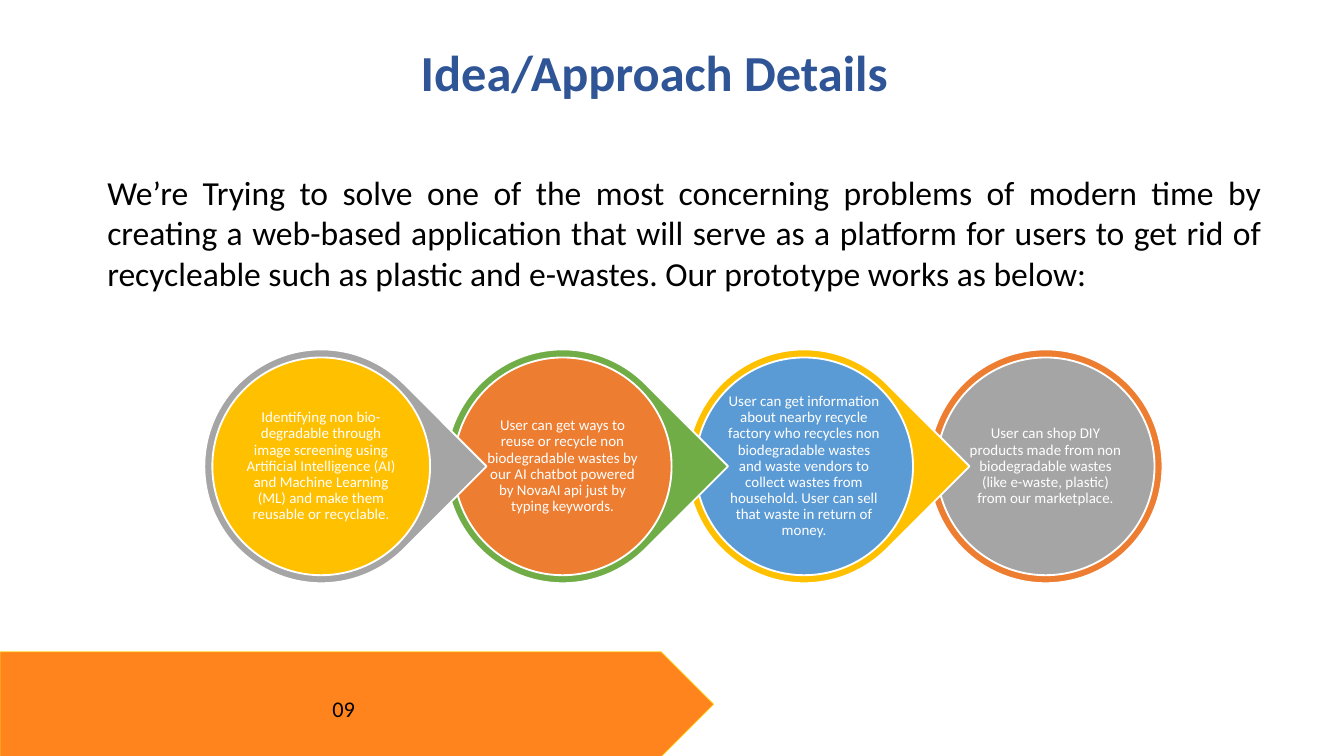
from pptx import Presentation
from pptx.dml.color import RGBColor
from pptx.enum import shapes, text
from pptx.util import Inches, Pt

WHITE = RGBColor(0xFF, 0xFF, 0xFF)
BLACK = RGBColor(0x00, 0x00, 0x00)
NAVY = RGBColor(0x2F, 0x55, 0x97)
GRAY = RGBColor(0xA5, 0xA5, 0xA5)
GOLD = RGBColor(0xFF, 0xC0, 0x00)
GREEN = RGBColor(0x70, 0xAD, 0x47)
ORANGE = RGBColor(0xED, 0x7D, 0x31)
BLUE = RGBColor(0x5B, 0x9B, 0xD5)
BANNER = RGBColor(0xFF, 0x84, 0x1D)
BANNER_EDGE = RGBColor(0xFF, 0xD4, 0x1D)

TITLE = "Idea/Approach Details"
INTRO = (
    "We’re Trying to solve one of the most concerning problems of modern time by "
    "creating a web-based application that will serve as a platform for users to get "
    "rid of recycleable such as plastic and e-wastes. Our prototype works as below:"
)
STEPS = [
    ("Identifying non bio-degradable through image screening using Artificial "
     "Intelligence (AI) and Machine Learning (ML) and make them reusable or recyclable.",
     GRAY, GOLD),
    ("User can get ways to reuse or recycle non biodegradable wastes by our AI chatbot "
     "powered by NovaAI api just by typing keywords.",
     GREEN, ORANGE),
    ("User can get information about nearby recycle factory who recycles non "
     "biodegradable wastes and waste vendors to collect wastes from household. "
     "User can sell that waste in return of money.",
     GOLD, BLUE),
    ("User can shop DIY products made from non biodegradable wastes (like e-waste, "
     "plastic) from our marketplace.",
     ORANGE, GRAY),
]
PAGE = "09"

FIRST, FINAL, TOP = 1.52, 6.91, 2.6
PITCH = (FINAL - FIRST) / (len(STEPS) - 1)
OUTER, INNER, LABEL = 1.74, 1.62, 1.16

SHAPE = shapes.MSO_SHAPE
ALIGN = text.PP_ALIGN
ANCHOR = text.MSO_ANCHOR


def write(sp, content, font, para, margins=(0.1, 0.05), anchor=ANCHOR.MIDDLE):
    tf = sp.text_frame
    tf.text = content
    mx, my = map(Inches, margins)
    frame = dict(word_wrap=True, auto_size=text.MSO_AUTO_SIZE.NONE,
                 vertical_anchor=anchor, margin_left=mx, margin_right=mx,
                 margin_top=my, margin_bottom=my)
    p = tf.paragraphs[0]
    r = p.runs[0]
    color, size, bold = font
    r.font.color.rgb = color
    formats = [(tf, frame), (p, para),
               (r.font, dict(name="Calibri", size=Pt(size), bold=bold))]
    for target, values in formats:
        for key, value in values.items():
            setattr(target, key, value)


def add_shape(slide, kind, box, fill, edge=WHITE, width=1):
    sp = slide.shapes.add_shape(kind, *map(Inches, box))
    sp.shadow.inherit = False
    sp.fill.solid()
    sp.fill.fore_color.rgb = fill
    sp.line.color.rgb = edge
    sp.line.width = Pt(width)
    return sp


def centered(x, size):
    gap = (OUTER - size) / 2
    return x + gap, TOP + gap, size, size


def add_step(slide, i, content, ring, disc):
    x = FIRST + i * PITCH
    last = i == len(STEPS) - 1
    sp = add_shape(slide, SHAPE.OVAL if last else SHAPE.TEAR,
                   centered(x, OUTER), ring)
    if not last:
        sp.rotation = 45
    add_shape(slide, SHAPE.OVAL, centered(x, INNER), disc)
    label = slide.shapes.add_textbox(*map(Inches, centered(x, LABEL)))
    write(label, content, (WHITE, 8, False),
          dict(alignment=ALIGN.CENTER, line_spacing=0.9), (0.01, 0.01))


def main():
    prs = Presentation()
    prs.slide_width = Inches(10)
    prs.slide_height = prs.slide_width * 9 // 16
    slide = prs.slides.add_slide(prs.slide_layouts[5])

    title = slide.shapes.title
    title.left, title.top, title.width, title.height = map(
        Inches, (3.06, 0.27, 7.19, 0.58))
    write(title, TITLE, (NAVY, 27, True),
          dict(alignment=ALIGN.LEFT, line_spacing=0.9), (0.07, 0.04))

    intro = slide.shapes.add_textbox(*map(Inches, (0.7, 1.23, 8.79, 1.01)))
    write(intro, INTRO, (BLACK, 18, False),
          dict(alignment=ALIGN.JUSTIFY, space_after=Pt(4.5)), anchor=ANCHOR.TOP)

    for i, step in reversed(list(enumerate(STEPS))):
        add_step(slide, i, *step)

    banner = add_shape(slide, SHAPE.PENTAGON, (0, 4.85, 5.31, 0.78),
                       BANNER, BANNER_EDGE, 0.42)
    write(banner, PAGE, (BLACK, 12, False),
          dict(alignment=ALIGN.CENTER, line_spacing=Pt(19.2)), (0.3, 0.22))

    prs.save("out.pptx")


if __name__ == "__main__":
    main()
